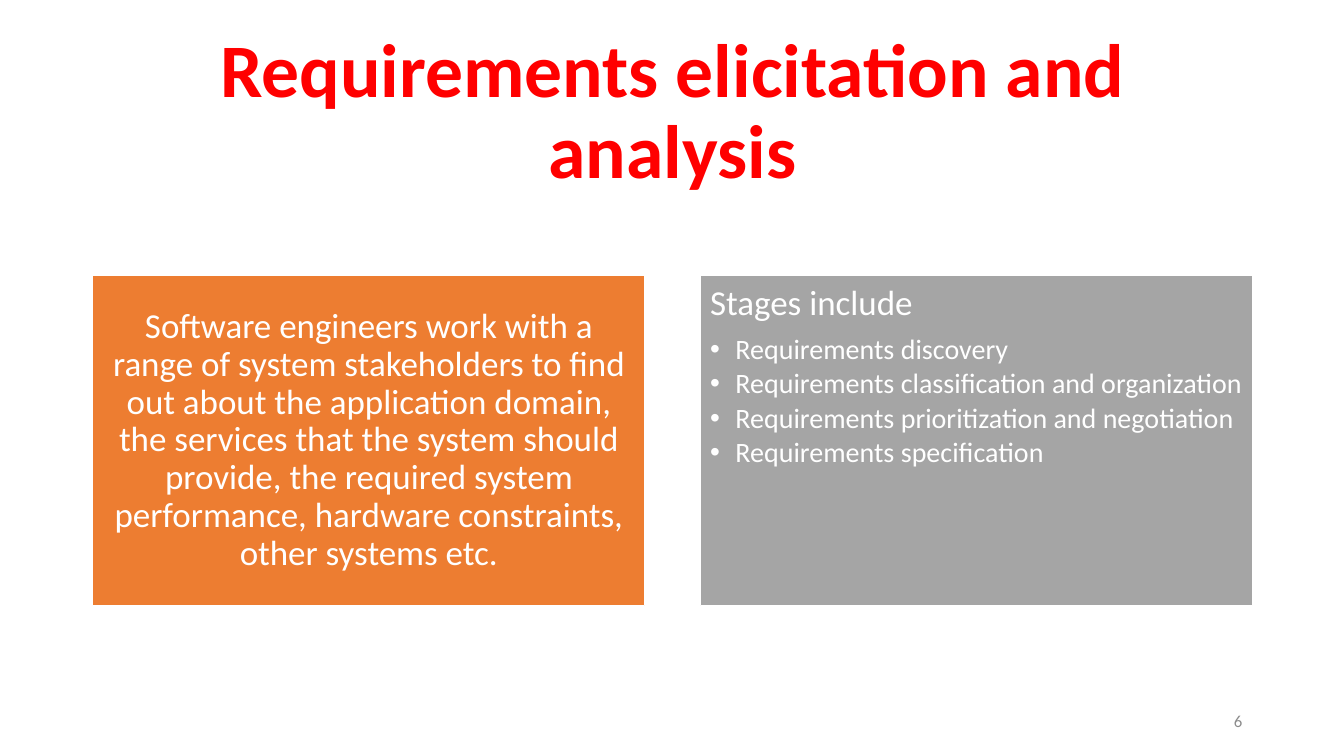
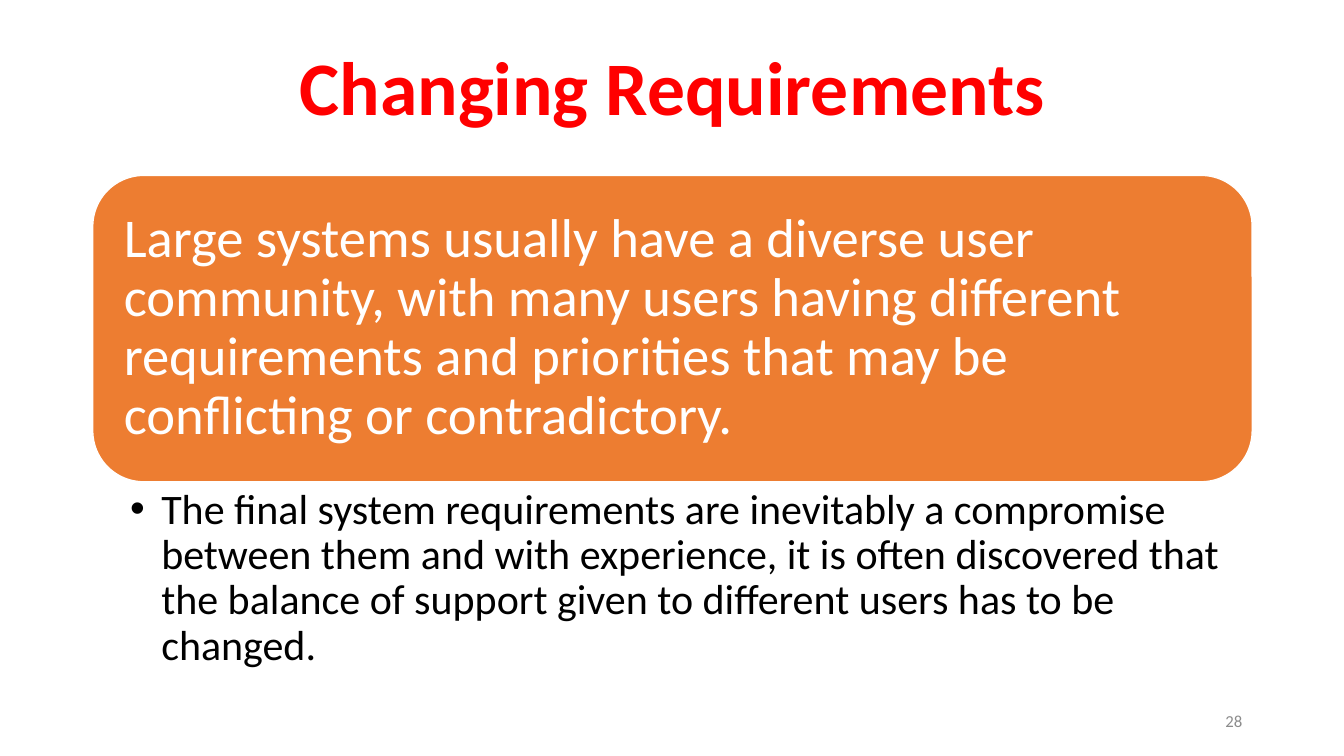
from dataclasses import dataclass

from lxml import etree
from pptx import Presentation
from pptx.dml.color import RGBColor
from pptx.enum.shapes import MSO_SHAPE
from pptx.enum.text import MSO_ANCHOR, PP_ALIGN
from pptx.oxml.ns import qn
from pptx.util import Inches, Pt

LEFT, CENTER, RIGHT = PP_ALIGN.LEFT, PP_ALIGN.CENTER, PP_ALIGN.RIGHT
TOP, MIDDLE = MSO_ANCHOR.TOP, MSO_ANCHOR.MIDDLE
RECTANGLE, ROUNDED = MSO_SHAPE.RECTANGLE, MSO_SHAPE.ROUNDED_RECTANGLE

# Content
ELICITATION = {
    "title": "Requirements elicitation and analysis",
    "number": "6",
    "summary": "Software engineers work with a range of system stakeholders to find out "
               "about the application domain, the services that the system should provide, "
               "the required system performance, hardware constraints, other systems etc.",
    "heading": "Stages include",
    "stages": [
        "Requirements discovery",
        "Requirements classification and organization",
        "Requirements prioritization and negotiation",
        "Requirements specification",
    ],
}
CHANGING = {
    "title": "Changing Requirements",
    "number": "28",
    "statement": "Large systems usually have a diverse user community, with many users "
                 "having different requirements and priorities that may be conflicting "
                 "or contradictory.",
    "detail": "The final system requirements are inevitably a compromise between them and "
              "with experience, it is often discovered that the balance of support given "
              "to different users has to be changed.",
}


# Theme
@dataclass(frozen=True)
class Theme:
    font: str = "Calibri"
    title: str = "FF0000"
    orange: str = "ED7D31"
    grey: str = "A5A5A5"
    white: str = "FFFFFF"
    black: str = "000000"
    muted: str = "8C8C8C"
    title_size: int = 54
    statement_size: int = 39
    detail_size: int = 30
    panel_size: int = 25
    stage_size: int = 20
    number_size: int = 12


THEME = Theme()

# Layout in inches
PAGE_WIDTH, PAGE_HEIGHT = 13.33, 7.5
MARGIN, CONTENT_WIDTH = 0.92, 11.5
PANEL_GAP = 0.55
PANEL_WIDTH = (CONTENT_WIDTH - PANEL_GAP) / 2
PANEL_TOP, PANEL_HEIGHT = 2.73, 3.28
NUMBER_WIDTH = 3


def add_text(box, text, *, size, color, bold=False, align=LEFT,
             spacing=0.9, after=0, hanging=0):
    """Append a paragraph; after is a share of the type size, hanging adds a bullet."""
    frame = box.text_frame
    para = frame.paragraphs[0]
    if para.runs:
        para = frame.add_paragraph()
    para.alignment = align
    para.line_spacing = spacing
    para.space_after = Pt(size * after)
    if hanging:
        properties = para._p.get_or_add_pPr()
        properties.set("marL", str(Inches(hanging)))
        properties.set("indent", str(-Inches(hanging)))
        etree.SubElement(properties, qn("a:buFont"), typeface="Arial")
        etree.SubElement(properties, qn("a:buChar"), char="•")
    span = para.add_run()
    span.text = text
    span.font.name = THEME.font
    span.font.size = Pt(size)
    span.font.bold = bold
    span.font.color.rgb = RGBColor.from_string(color)


def set_frame(box, anchor, insets):
    frame = box.text_frame
    frame.word_wrap = True
    frame.vertical_anchor = anchor
    (frame.margin_left, frame.margin_top,
     frame.margin_right, frame.margin_bottom) = map(Inches, insets)
    return box


def add_box(page, place, anchor=MIDDLE, insets=(0.1, 0.05, 0.1, 0.05)):
    return set_frame(page.shapes.add_textbox(*map(Inches, place)), anchor, insets)


def add_panel(page, place, fill, *, kind=RECTANGLE, anchor=MIDDLE, inset=0.1):
    panel = page.shapes.add_shape(kind, *map(Inches, place))
    panel.shadow.inherit = False
    panel.fill.solid()
    panel.fill.fore_color.rgb = RGBColor.from_string(fill)
    panel.line.color.rgb = RGBColor.from_string(THEME.white)
    panel.line.width = Pt(1)
    return set_frame(panel, anchor, [inset] * 4)


def add_page(deck, content, title_height):
    """Add a blank page with the shared title and page number."""
    page = deck.slides.add_slide(deck.slide_layouts[6])
    title = add_box(page, (MARGIN, 0.4, CONTENT_WIDTH, title_height))
    add_text(title, content["title"], size=THEME.title_size, color=THEME.title,
             bold=True, align=CENTER)
    number_left = MARGIN + CONTENT_WIDTH - NUMBER_WIDTH
    number = add_box(page, (number_left, 6.95, NUMBER_WIDTH, 0.4))
    add_text(number, content["number"], size=THEME.number_size, color=THEME.muted,
             align=RIGHT, spacing=1.0)
    return page


def build_elicitation(deck):
    page = add_page(deck, ELICITATION, 1.45)
    summary_place, stages_place = [
        (MARGIN + column * (PANEL_WIDTH + PANEL_GAP), PANEL_TOP, PANEL_WIDTH, PANEL_HEIGHT)
        for column in range(2)
    ]
    summary = add_panel(page, summary_place, THEME.orange)
    add_text(summary, ELICITATION["summary"], size=THEME.panel_size,
             color=THEME.white, align=CENTER, after=0.35)
    stages = add_panel(page, stages_place, THEME.grey, anchor=TOP)
    add_text(stages, ELICITATION["heading"], size=THEME.panel_size,
             color=THEME.white, after=0.35)
    for stage in ELICITATION["stages"]:
        add_text(stages, stage, size=THEME.stage_size, color=THEME.white,
                 after=0.15, hanging=0.25)


def build_changing(deck):
    page = add_page(deck, CHANGING, 1)
    statement = add_panel(page, (MARGIN, 1.74, CONTENT_WIDTH, 3.04), THEME.orange,
                          kind=ROUNDED, inset=0.16)
    add_text(statement, CHANGING["statement"], size=THEME.statement_size,
             color=THEME.white, after=0.35)
    detail = add_box(page, (MARGIN, 4.79, CONTENT_WIDTH, 1.94), TOP,
                     (0.37, 0.05, 0.3, 0.05))
    add_text(detail, CHANGING["detail"], size=THEME.detail_size, color=THEME.black,
             after=0.2, hanging=0.31)


def main():
    deck = Presentation()
    deck.slide_width = Inches(PAGE_WIDTH)
    deck.slide_height = Inches(PAGE_HEIGHT)
    build_elicitation(deck)
    build_changing(deck)
    deck.save("out.pptx")


if __name__ == "__main__":
    main()
